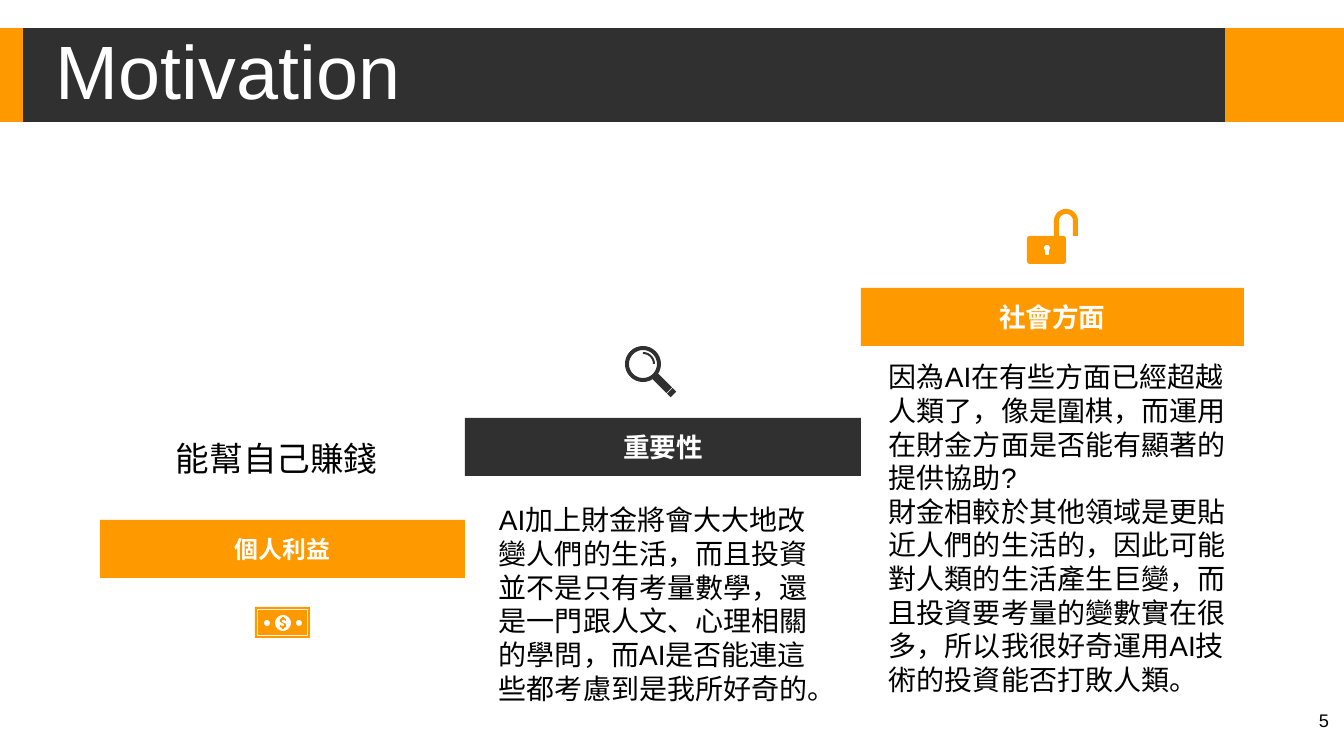
"""Builds the Motivation slide: three rising steps with icons and text."""
from math import cos, pi, sin, sqrt

from pptx import Presentation
from pptx.dml.color import RGBColor
from pptx.enum.shapes import MSO_SHAPE
from pptx.enum.text import MSO_ANCHOR, MSO_AUTO_SIZE, PP_ALIGN
from pptx.util import Pt

RECT = MSO_SHAPE.RECTANGLE
TOP, MIDDLE = MSO_ANCHOR.TOP, MSO_ANCHOR.MIDDLE
LEFT, CENTER, RIGHT = PP_ALIGN.LEFT, PP_ALIGN.CENTER, PP_ALIGN.RIGHT
GROW, FIXED = MSO_AUTO_SIZE.SHAPE_TO_FIT_TEXT, MSO_AUTO_SIZE.NONE

PX = 914400 / 100.8
FONT = "Arial"
COLORS = {"orange": "FE9900", "dark": "303030", "white": "FFFFFF", "black": "000000"}

BANNER_TOP, BANNER_H = 28, 94
BANNER = [(1225, 119, "orange"), (0, 1225, "dark"), (0, 23, "orange")]

STEP_H = 58
STEPS = [
    ("個人利益", 100, 520, 365, 17, "orange"),
    ("重要性", 465, 418, 396, 19, "dark"),
    ("社會方面", 861, 288, 383, 19, "orange"),
]

TITLE = ("Motivation", (46, 35, 978, 80))
GAIN = ("能幫自己賺錢", (166, 433, 233, 58))
SOCIETY = (
    "因為AI在有些方面已經超越人類了，像是圍棋，而運用在財金方面是否能有顯著的提供協助?\n"
    "財金相較於其他領域是更貼近人們的生活的，因此可能對人類的生活產生巨變，"
    "而且投資要考量的變數實在很多，所以我很好奇運用AI技術的投資能否打敗人類。",
    (879, 355, 379, 344),
)
IMPORTANCE = (
    "AI加上財金將會大大地改變人們的生活，而且投資並不是只有考量數學，"
    "還是一門跟人文、心理相關的學問，而AI是否能連這些都考慮到是我所好奇的。",
    (489, 498, 353, 214),
)
PAGE = ("5", (1258, 699, 81, 57))

DOLLAR_HALF = [(-1, -6), (1, -6), (1, -5), (3, -4), (3, -2), (1, -3),
               (-1, -3), (-1, -1), (3, 1), (3, 4), (1, 5)]


def emu(*lengths):
    return [round(v * PX) for v in lengths]


def rgb(name):
    return RGBColor.from_string(COLORS[name])


def paint(sp, color):
    sp.shadow.inherit = False
    sp.fill.solid()
    sp.fill.fore_color.rgb = rgb(color)
    sp.line.fill.background()


def write(sp, text, size, color, align=LEFT, anchor=TOP, bold=False, spacing=None):
    tf = sp.text_frame
    tf.word_wrap = True
    tf.vertical_anchor = anchor
    tf.text = text
    for p in tf.paragraphs:
        p.alignment = align
        p.line_spacing = spacing
        p.font.name = FONT
        p.font.size = Pt(size)
        p.font.bold = bold
        p.font.color.rgb = rgb(color)
    return tf


def add_bar(s, box, color):
    sp = s.shapes.add_shape(RECT, *emu(*box))
    paint(sp, color)
    return sp


def add_text(s, content, size, color="black", fit=FIXED, **style):
    text, box = content
    tf = write(s.shapes.add_textbox(*emu(*box)), text, size, color, **style)
    tf.auto_size = fit
    return tf


def arc(cx, cy, r, start=0, end=2 * pi, steps=32):
    angles = [start + (end - start) * i / steps for i in range(steps + 1)]
    return [(cx + r * cos(a), cy + r * sin(a)) for a in angles]


def rect(x1, y1, x2, y2):
    return [(x1, y1), (x2, y1), (x2, y2), (x1, y2)]


def round_rect(x1, y1, x2, y2, r):
    corners = [(x2 - r, y2 - r), (x1 + r, y2 - r), (x1 + r, y1 + r), (x2 - r, y1 + r)]
    return [pt for i, (x, y) in enumerate(corners)
            for pt in arc(x, y, r, i * pi / 2, (i + 1) * pi / 2, 6)]


def add_icon(s, contours, color):
    contours = [[emu(*pt) for pt in c] for c in contours]
    fb = s.shapes.build_freeform(*contours[0][0])
    for i, (start, *rest) in enumerate(contours):
        if i:
            fb.move_to(*start)
        fb.add_line_segments(rest, close=True)
    paint(fb.convert_to_shape(), color)


def padlock():
    cx, cy, base = 1066, 221, 236
    shackle = ([(cx - 12, base)] + arc(cx, cy, 12, pi, 2 * pi)
               + [(cx + 12, base), (cx + 7, base)]
               + arc(cx, cy, 7, 2 * pi, pi) + [(cx - 7, base)])
    keyhole = arc(1047, 248, 3, 0.75 * pi, 2.25 * pi) + [(1049, 255), (1045, 255)]
    return [round_rect(1027, base, 1066, 264, 3), shackle, keyhole]


def magnifier():
    cx, cy = 643, 364

    def handle(u1, u2, half):
        return [(cx + (u - v) / sqrt(2), cy + (u + v) / sqrt(2))
                for u, v in rect(u1, -half, u2, half)]

    glint = arc(cx, cy, 12, -pi / 2, 0) + arc(cx, cy, 10, 0, -pi / 2)
    return [arc(cx, cy, 18), arc(cx, cy, 14), glint,
            handle(18, 37, 4), handle(38, 43, 4)]


def banknote():
    cx, cy = 283, 623
    frames = [rect(255 + d, 607 + d, 310 - d, 638 - d) for d in (0, 2, 3)]
    dots = [arc(cx + dx, cy, 3) for dx in (-16, 16)]
    dollar = DOLLAR_HALF + [(-x, -y) for x, y in DOLLAR_HALF]
    return frames + dots + [arc(cx, cy, 8), [(cx + x, cy + y) for x, y in dollar]]


def main():
    prs = Presentation()
    prs.slide_width, prs.slide_height = emu(1344, 756)
    s = prs.slides.add_slide(prs.slide_layouts[6])

    for x, w, color in BANNER:
        add_bar(s, (x, BANNER_TOP, w, BANNER_H), color)
    add_text(s, TITLE, 54, "white", anchor=MIDDLE, spacing=0.9)

    for label, x, y, w, size, color in STEPS:
        sp = add_bar(s, (x, y, w, STEP_H), color)
        write(sp, label, size, "white", align=CENTER, anchor=MIDDLE, bold=True)

    add_text(s, GAIN, 24)
    add_text(s, SOCIETY, 20)
    add_icon(s, padlock(), "orange")
    add_icon(s, magnifier(), "dark")
    tf = add_text(s, PAGE, 13, align=RIGHT)
    tf.margin_top = tf.margin_bottom = emu(10)[0]
    add_icon(s, banknote(), "orange")
    add_text(s, IMPORTANCE, 20, fit=GROW)

    prs.save("out.pptx")


if __name__ == "__main__":
    main()
